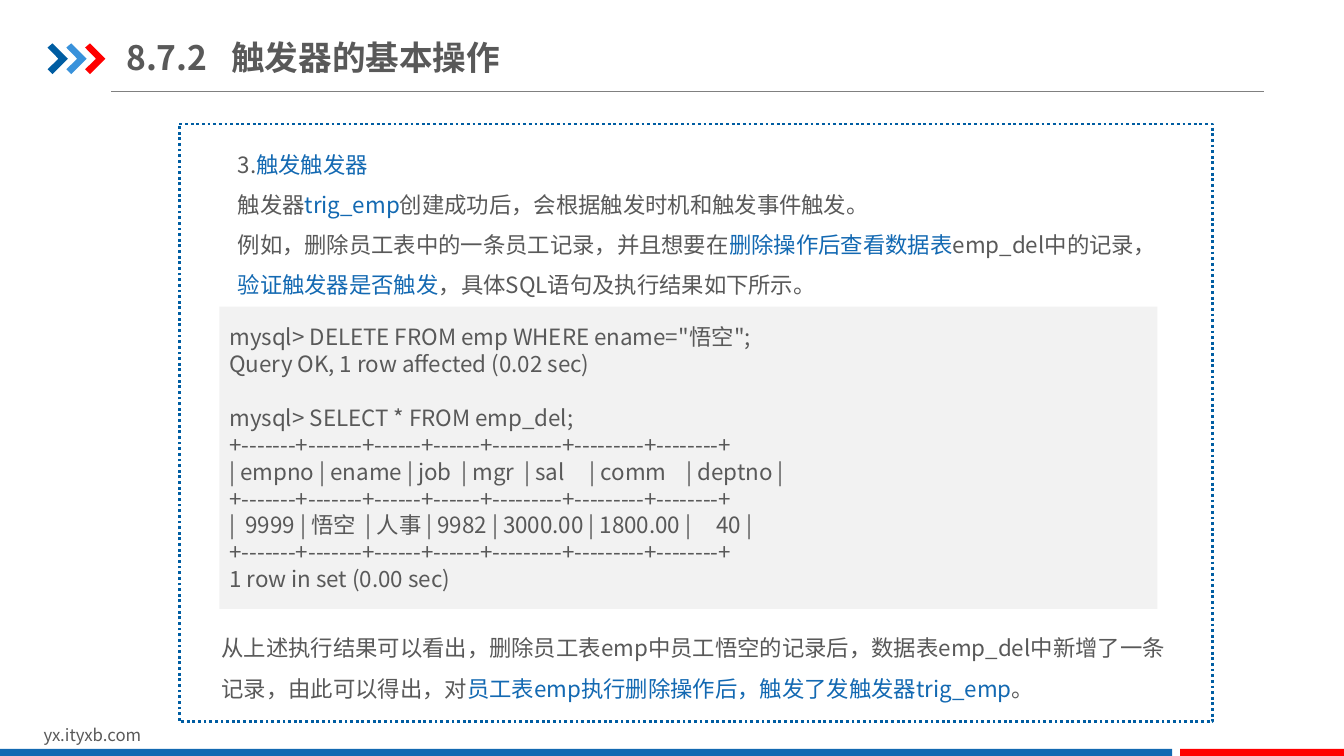
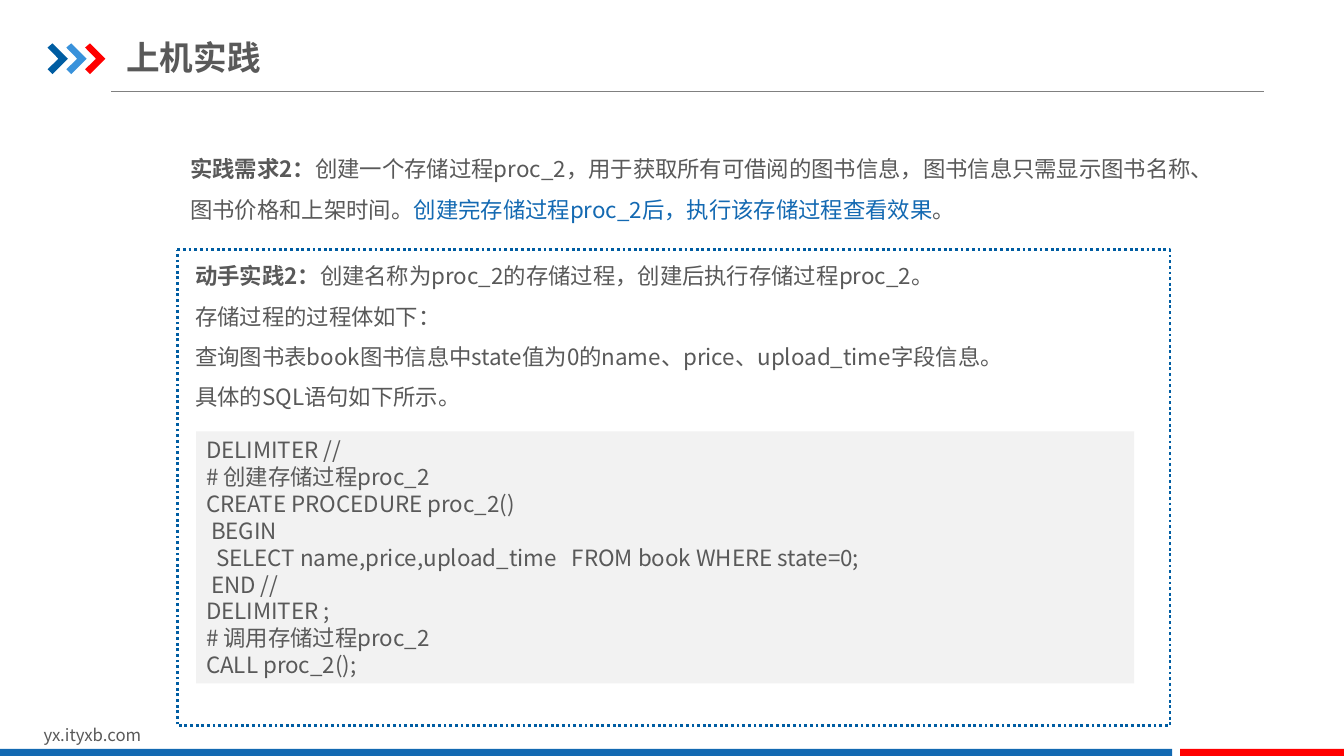
from dataclasses import dataclass

from lxml.etree import SubElement
from pptx import Presentation
from pptx.dml.color import RGBColor
from pptx.enum.dml import MSO_LINE
from pptx.enum.shapes import MSO_CONNECTOR, MSO_SHAPE
from pptx.enum.text import MSO_ANCHOR, PP_ALIGN
from pptx.oxml.ns import qn
from pptx.util import Pt


@dataclass(frozen=True)
class Theme:
    font: str = "Noto Sans CJK SC"
    ink: str = "595959"
    accent: str = "1369B2"
    navy: str = "005DA2"
    sky: str = "3992DB"
    red: str = "FF0000"
    rule: str = "808080"
    paper: str = "FFFFFF"
    code_fill: str = "F2F2F2"
    title_size: float = 24
    body_size: float = 16
    footer_size: float = 12
    body_spacing: float = 1.5
    code_line: float = 19.3


@dataclass(frozen=True)
class Box:
    left: float
    top: float
    width: float
    height: float

    def inner(self, dx, dy, width, height):
        return Box(self.left + dx, self.top + dy, width, height)

    def lengths(self):
        return Pt(self.left), Pt(self.top), Pt(self.width), Pt(self.height)


@dataclass(frozen=True)
class Span:
    text: str
    color: str = None
    bold: bool = None


THEME = Theme()
CODE_WIDTH = 670
CHEVRON = ((0, 3), (3.5, 0), (14.5, 11), (3.5, 22), (0, 18.5), (7.8, 11))


def key(text):
    return Span(text, color=THEME.accent)


def strong(text):
    return Span(text, bold=True)


def color_of(value):
    return RGBColor.from_string(value)


def write(frame, paragraphs, size=THEME.body_size, color=THEME.ink, bold=False,
          spacing=None, anchor=MSO_ANCHOR.TOP, margins=(7.2, 3.6),
          gaps=None, tab=None):
    frame.word_wrap = True
    frame.vertical_anchor = anchor
    frame.margin_left = frame.margin_right = Pt(margins[0])
    frame.margin_top = frame.margin_bottom = Pt(margins[1])
    for index, spans in enumerate(paragraphs):
        paragraph = frame.add_paragraph() if index else frame.paragraphs[0]
        paragraph.alignment = PP_ALIGN.LEFT
        if spacing:
            paragraph.line_spacing = spacing
        if gaps and index in gaps:
            paragraph.space_before = Pt(gaps[index])
        if tab:
            stops = SubElement(paragraph._p.get_or_add_pPr(), qn("a:tabLst"))
            SubElement(stops, qn("a:tab"), pos=str(Pt(tab)), algn="l")
        for item in [spans] if isinstance(spans, str) else spans:
            span = Span(item) if isinstance(item, str) else item
            run = paragraph.add_run()
            run.text = span.text
            font = run.font
            font.size = Pt(size)
            font.bold = bold if span.bold is None else span.bold
            font.color.rgb = color_of(span.color or color)
            font.name = THEME.font
            SubElement(run._r.get_or_add_rPr(), qn("a:ea"), typeface=THEME.font)


def add_text(slide, box, paragraphs, **text_format):
    write(slide.shapes.add_textbox(*box.lengths()).text_frame, paragraphs, **text_format)


def paint(shape, fill):
    shape.shadow.inherit = False
    shape.fill.solid()
    shape.fill.fore_color.rgb = color_of(fill)
    shape.line.fill.background()
    return shape


def add_block(slide, box, fill, preset=MSO_SHAPE.RECTANGLE):
    return paint(slide.shapes.add_shape(preset, *box.lengths()), fill)


def dotted_panel(slide, box):
    panel = add_block(slide, box, THEME.paper, MSO_SHAPE.FLOWCHART_PROCESS)
    panel.line.color.rgb = color_of(THEME.navy)
    panel.line.width = Pt(2)
    panel.line.dash_style = MSO_LINE.ROUND_DOT


def code_block(slide, box, lines, gaps=None):
    block = add_block(slide, box, THEME.code_fill)
    write(block.text_frame, lines, anchor=MSO_ANCHOR.MIDDLE, gaps=gaps)


def body_text(slide, box, paragraphs):
    add_text(slide, box, paragraphs, spacing=THEME.body_spacing)


def header(slide, box, title):
    rule_y = Pt(box.top + box.height)
    rule = slide.shapes.add_connector(
        MSO_CONNECTOR.STRAIGHT, Pt(box.left + 45.5), rule_y,
        Pt(box.left + box.width), rule_y)
    rule.line.color.rgb = color_of(THEME.rule)
    rule.line.width = Pt(0.75)
    SubElement(rule._element.spPr, qn("a:effectLst"))
    for index, fill in enumerate((THEME.navy, THEME.sky, THEME.red)):
        left, top = box.left + 13.4 * index, box.top + 10
        points = [(Pt(left + x), Pt(top + y)) for x, y in CHEVRON]
        outline = slide.shapes.build_freeform(*points[0])
        outline.add_line_segments(points[1:], close=True)
        paint(outline.convert_to_shape(), fill)
    add_text(slide, box.inner(56.2, 0, 307, 39.6), [title], size=THEME.title_size,
             bold=True, anchor=MSO_ANCHOR.MIDDLE, margins=(0, 5), tab=75)


def footer(slide, box):
    add_text(slide, box.inner(24, 0, 229, 21.6), ["yx.ityxb.com"],
             size=THEME.footer_size)
    add_block(slide, box.inner(0, 21, 837.2, 5), THEME.accent)
    add_block(slide, box.inner(843, 21, box.width - 843, 5), THEME.red)


def new_slide(deck, title):
    slide = deck.slides.add_slide(deck.slide_layouts[6])
    header(slide, Box(34, 21, 869, 44.5), title)
    footer(slide, Box(0, 514, 960, 26))
    return slide


def trigger_section(slide, box):
    border = "+-------+-------+------+------+---------+---------+--------+"
    dotted_panel(slide, box)
    body_text(slide, box.inner(34.5, 6, 686, 124), [
        ["3.", key("触发触发器")],
        ["触发器", key("trig_emp"), "创建成功后，会根据触发时机和触发事件触发。"],
        ["例如，删除员工表中的一条员工记录，并且想要在",
         key("删除操作后查看数据表"), "emp_del中的记录，",
         key("验证触发器是否触发"), "，具体SQL语句及执行结果如下所示。"],
    ])
    code_block(slide, box.inner(28.6, 130.4, CODE_WIDTH, 216), [
        'mysql> DELETE FROM emp WHERE ename="悟空";',
        "Query OK, 1 row affected (0.02 sec)",
        "mysql> SELECT * FROM emp_del;",
        border,
        "| empno | ename | job  | mgr  | sal     | comm    | deptno |",
        border,
        "|  9999 | 悟空  | 人事 | 9982 | 3000.00 | 1800.00 |     40 |",
        border,
        "1 row in set (0.00 sec)",
    ], gaps={2: THEME.code_line})
    body_text(slide, box.inner(23, 351.4, 695, 65.5), [
        ["从上述执行结果可以看出，删除员工表emp中员工悟空的记录后，"
         "数据表emp_del中新增了一条记录，由此可以得出，对",
         key("员工表emp执行删除操作后，触发了发触发器trig_emp"), "。"],
    ])


def requirement_section(slide, box):
    body_text(slide, box, [
        [strong("实践需求2："),
         "创建一个存储过程proc_2，用于获取所有可借阅的图书信息，"
         "图书信息只需显示图书名称、图书价格和上架时间。",
         key("创建完存储过程proc_2后，执行该存储过程查看效果"), "。"],
    ])


def practice_section(slide, box):
    dotted_panel(slide, box)
    body_text(slide, box.inner(5.6, -4.2, 671, 124), [
        [strong("动手实践2："), "创建名称为proc_2的存储过程，创建后执行存储过程proc_2。"],
        "存储过程的过程体如下：",
        "查询图书表book图书信息中state值为0的name、price、upload_time字段信息。",
        "具体的SQL语句如下所示。",
    ])
    code_block(slide, box.inner(13.5, 129.6, CODE_WIDTH, 180), [
        "DELIMITER //",
        "# 创建存储过程proc_2",
        "CREATE PROCEDURE proc_2()",
        " BEGIN",
        "  SELECT name,price,upload_time   FROM book WHERE state=0;",
        " END //",
        "DELIMITER ;",
        "# 调用存储过程proc_2",
        "CALL proc_2();",
    ])


def main():
    deck = Presentation()
    deck.slide_width, deck.slide_height = Pt(960), Pt(540)
    trigger = new_slide(deck, "8.7.2\t触发器的基本操作")
    trigger_section(trigger, Box(128.2, 88.6, 738, 427))
    practice = new_slide(deck, "上机实践")
    requirement_section(practice, Box(128.9, 98, 736.5, 65.5))
    practice_section(practice, Box(126.7, 178.5, 709, 340))
    deck.save("out.pptx")


if __name__ == "__main__":
    main()
